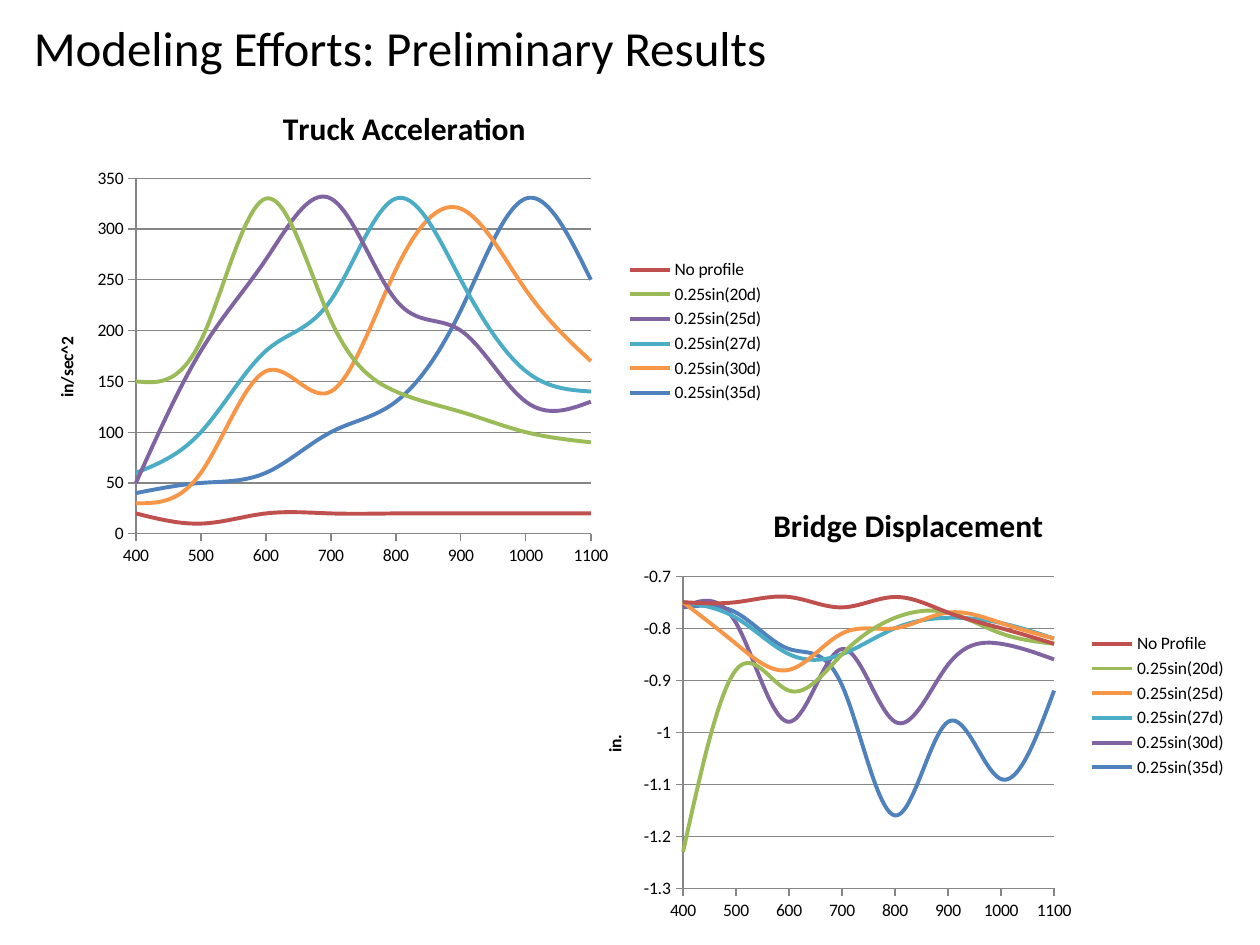
from dataclasses import dataclass

from lxml import etree
from pptx import Presentation
from pptx.chart.data import XyChartData
from pptx.dml.color import RGBColor
from pptx.enum.chart import XL_AXIS_CROSSES as Crosses
from pptx.enum.chart import XL_CHART_TYPE as ChartType
from pptx.enum.chart import XL_LEGEND_POSITION as LegendPos
from pptx.enum.chart import XL_TICK_MARK as Tick
from pptx.enum.text import MSO_ANCHOR as Anchor
from pptx.oxml.ns import qn
from pptx.util import Pt

FONT = "Calibri"
BLACK, GRAY = "000000", "868686"
RED, GREEN, PURPLE = "C0504D", "9BBB59", "8064A2"
TEAL, ORANGE, BLUE = "4BACC6", "F79646", "4F81BD"
SPEEDS = range(400, 1101, 100)


@dataclass
class Series:
    name: str
    color: str
    values: list[float]


@dataclass
class ScatterPanel:
    title: str
    unit: str
    box: tuple[float, float, float, float]
    plot: tuple[float, float, float, float]
    limits: tuple[float, float]
    step: float
    series: list[Series]
    first_series_on_top: bool = False


PANELS = [
    ScatterPanel(
        "Truck Acceleration", "in/sec^2", (18, 48.24, 426.24, 282.24),
        (0.14, 0.19, 0.61, 0.72), (0, 350), 50,
        [
            Series("0.25sin(35d)", BLUE, [40, 50, 60, 100, 130, 220, 330, 250]),
            Series("No profile", RED, [20, 10, 20, 20, 20, 20, 20, 20]),
            Series("0.25sin(20d)", GREEN, [150, 190, 330, 210, 140, 120, 100, 90]),
            Series("0.25sin(25d)", PURPLE, [50, 180, 270, 330, 230, 200, 130, 130]),
            Series("0.25sin(27d)", TEAL, [60, 100, 180, 230, 330, 250, 160, 140]),
            Series("0.25sin(30d)", ORANGE, [30, 60, 160, 140, 260, 320, 240, 170]),
        ],
        first_series_on_top=True,
    ),
    ScatterPanel(
        "Bridge Displacement", "in.", (329.76, 275.76, 378.72, 254.88),
        (0.16, 0.21, 0.56, 0.7), (-1.3, -0.7), 0.1,
        [
            Series("No Profile", RED, [-0.75, -0.75, -0.74, -0.76, -0.74, -0.77, -0.8, -0.83]),
            Series("0.25sin(20d)", GREEN, [-1.23, -0.88, -0.92, -0.85, -0.78, -0.77, -0.81, -0.83]),
            Series("0.25sin(25d)", ORANGE, [-0.75, -0.83, -0.88, -0.81, -0.8, -0.77, -0.79, -0.82]),
            Series("0.25sin(27d)", TEAL, [-0.75, -0.78, -0.85, -0.85, -0.8, -0.78, -0.79, -0.82]),
            Series("0.25sin(30d)", PURPLE, [-0.76, -0.79, -0.98, -0.84, -0.98, -0.87, -0.83, -0.86]),
            Series("0.25sin(35d)", BLUE, [-0.76, -0.77, -0.84, -0.91, -1.16, -0.98, -1.09, -0.92]),
        ],
    ),
]


def rgb(color: str) -> RGBColor:
    return RGBColor.from_string(color)


def write(tf, text: str, *, size: float, bold: bool = False, color: str = BLACK) -> None:
    r = tf.paragraphs[0].add_run()
    r.text = text
    r.font.name, r.font.size, r.font.bold = FONT, Pt(size), bold
    r.font.color.rgb = rgb(color)


def style_line(line, color: str, width: float) -> None:
    line.color.rgb = rgb(color)
    line.width = Pt(width)


def style_axis(axis, low: float, high: float, step: float, grid: bool) -> None:
    axis.minimum_scale, axis.maximum_scale, axis.major_unit = low, high, step
    axis.major_tick_mark, axis.minor_tick_mark = Tick.OUTSIDE, Tick.NONE
    axis.crosses = Crosses.MINIMUM
    axis.has_major_gridlines = grid
    axis.tick_labels.number_format = "General"
    axis.tick_labels.number_format_is_linked = False
    style_line(axis.format.line, GRAY, 0.75)
    if grid:
        style_line(axis.major_gridlines.format.line, GRAY, 0.75)


def place_plot(chart, plot: tuple[float, float, float, float]) -> None:
    area = chart.plots[0]._element.getparent()
    for old in area.findall(qn("c:layout")):
        area.remove(old)
    layout = etree.Element(qn("c:layout"))
    manual = etree.SubElement(layout, qn("c:manualLayout"))
    settings = [("layoutTarget", "inner"), ("xMode", "edge"), ("yMode", "edge")]
    for tag, value in settings + list(zip("xywh", plot)):
        etree.SubElement(manual, qn(f"c:{tag}")).set("val", str(value))
    area.insert(0, layout)


def style_series(chart, panel: ScatterPanel) -> None:
    lines = list(chart.plots[0].series)
    for line, item in zip(lines, panel.series):
        line._element.get_or_add_smooth().set("val", "1")
        style_line(line.format.line, item.color, 2.25)
    if panel.first_series_on_top:
        lines[-1]._element.addnext(lines[0]._element)


def add_panel(s, panel: ScatterPanel) -> None:
    data = XyChartData()
    for item in panel.series:
        points = data.add_series(item.name)
        for speed, value in zip(SPEEDS, item.values):
            points.add_data_point(speed, value)
    chart = s.shapes.add_chart(
        ChartType.XY_SCATTER_SMOOTH_NO_MARKERS, *map(Pt, panel.box), data
    ).chart
    chart.font.name, chart.font.size = FONT, Pt(10)
    chart.font.color.rgb = rgb(BLACK)
    chart.has_title = True
    write(chart.chart_title.text_frame, panel.title, size=18, bold=True)
    chart.chart_title.include_in_layout = False
    chart.has_legend = True
    chart.legend.position = LegendPos.RIGHT
    chart.legend.include_in_layout = False

    style_axis(chart.category_axis, SPEEDS[0], SPEEDS[-1], SPEEDS.step, False)
    style_axis(chart.value_axis, *panel.limits, panel.step, True)
    write(chart.value_axis.axis_title.text_frame, panel.unit, size=10, bold=True)
    chart.plots[0].vary_by_categories = False
    style_series(chart, panel)
    place_plot(chart, panel.plot)


def main() -> None:
    prs = Presentation()
    prs.slide_width, prs.slide_height = Pt(720), Pt(540)
    s = prs.slides.add_slide(prs.slide_layouts[6])
    sp = s.shapes.add_textbox(Pt(12.24), Pt(5.76), Pt(648), Pt(41.76))
    tf = sp.text_frame
    tf.word_wrap = True
    tf.vertical_anchor = Anchor.MIDDLE
    write(tf, "Modeling Efforts: Preliminary Results", size=28)
    for panel in PANELS:
        add_panel(s, panel)
    prs.save("out.pptx")


if __name__ == "__main__":
    main()
